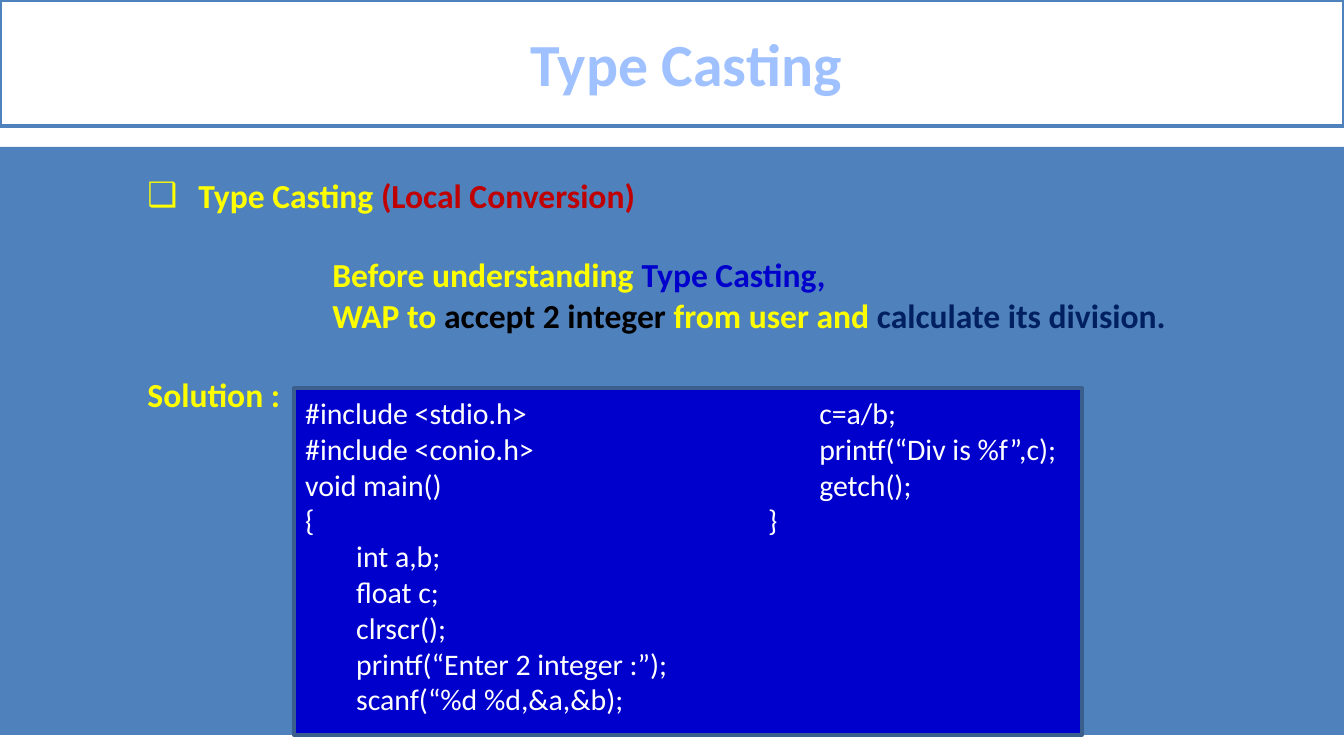
"""Build the Type Casting slide with a code sample in two columns."""
from lxml.etree import SubElement
from pptx import Presentation
from pptx.dml.color import RGBColor
from pptx.enum.shapes import MSO_SHAPE as Shape
from pptx.enum.text import MSO_ANCHOR as Anchor, MSO_AUTO_SIZE as AutoSize, PP_ALIGN as Align
from pptx.oxml.ns import qn
from pptx.util import Pt

EMU_PER_PX = 914400 / 134.4
FONT = "Calibri"
YELLOW, WHITE, STEEL, BLUE = "FFFF00", "FFFFFF", "4F81BD", "0000CC"

TITLE = "Type Casting"
TITLE_FRAME = (0, 0, 1344, 126)
BAND_FRAME = (0, 147, 1344, 588)
BODY_FRAME = (0, 168, 1344, 380)
PANEL_FRAME = (294, 388, 788, 347)

# (left margin px, hanging indent px, bullet, space before pt, spans)
BODY = [
    (185, -51, "❑", 0, [("Type Casting ", YELLOW), ("(Local Conversion)", "C00000")]),
    (319, 0, None, 21, [("Before understanding ", YELLOW), ("Type Casting,", BLUE)]),
    (319, 0, None, 0, [("WAP to ", YELLOW), ("accept 2 integer ", "000000"),
                       ("from user and ", YELLOW), ("calculate its division.", "002060")]),
    (134, 0, None, 21, [("Solution :", YELLOW)]),
]

CODE_INDENT = 51
CODE = [
    ((292, 388, 453, 340), [
        (0, "#include <stdio.h>"), (0, "#include <conio.h>"), (0, "void main()"), (0, "{"),
        (1, "int a,b;"), (1, "float c;"), (1, "clrscr();"),
        (1, "printf(“Enter 2 integer :”);"), (1, "scanf(“%d %d,&a,&b);")]),
    ((755, 388, 453, 170), [
        (1, "c=a/b;"), (1, "printf(“Div is %f”,c);"), (1, "getch();"), (0, "}")]),
]


def px(length):
    return round(length * EMU_PER_PX)


def colour(value):
    return RGBColor.from_string(value)


def place(shape, frame):
    shape.left, shape.top, shape.width, shape.height = map(px, frame)


def paint(shape, fill, line=None):
    shape.fill.solid()
    shape.fill.fore_color.rgb = colour(fill)
    if line:
        shape.line.color.rgb = colour(line)
        shape.line.width = Pt(2)
    else:
        shape.line.fill.background()


def add_panel(slide, frame, fill, line=None):
    panel = slide.shapes.add_shape(Shape.RECTANGLE, *map(px, frame))
    panel.shadow.inherit = False
    paint(panel, fill, line)


def prepare(frame, anchor=Anchor.TOP):
    frame.word_wrap = True
    frame.auto_size = AutoSize.NONE
    frame.vertical_anchor = anchor


def write(frame, index, spans, size, bold, margin=0, hanging=0, bullet=None, before=0):
    para = frame.paragraphs[0] if index == 0 else frame.add_paragraph()
    properties = para._p.get_or_add_pPr()
    properties.set("marL", str(px(margin)))
    properties.set("indent", str(px(hanging)))
    if bullet:
        SubElement(properties, qn("a:buChar")).set("char", bullet)
    else:
        SubElement(properties, qn("a:buNone"))
    para.space_before = Pt(before)
    para.font.name, para.font.size, para.font.bold = FONT, Pt(size), bold
    for text, tint in spans:
        span = para.add_run()
        span.text = text
        span.font.color.rgb = colour(tint)
    return para


def main():
    deck = Presentation()
    deck.slide_width, deck.slide_height = px(1344), px(756)
    slide = deck.slides.add_slide(deck.slide_layouts[1])
    title, body = slide.placeholders

    place(title, TITLE_FRAME)
    paint(title, WHITE, STEEL)
    prepare(title.text_frame, Anchor.MIDDLE)
    heading = write(title.text_frame, 0, [(TITLE, "A0C1FF")], 32, True, margin=28)
    heading.alignment = Align.CENTER

    add_panel(slide, BAND_FRAME, STEEL)
    slide.shapes._spTree.append(body._element)
    place(body, BODY_FRAME)
    prepare(body.text_frame)
    for index, (margin, hanging, bullet, before, spans) in enumerate(BODY):
        write(body.text_frame, index, spans, 18, True, margin, hanging, bullet, before)

    add_panel(slide, PANEL_FRAME, BLUE, "3A5F8C")
    for frame, lines in CODE:
        box = slide.shapes.add_textbox(*map(px, frame))
        prepare(box.text_frame)
        for index, (level, text) in enumerate(lines):
            write(box.text_frame, index, [(text, WHITE)], 16, False, level * CODE_INDENT)

    deck.save("out.pptx")


if __name__ == "__main__":
    main()
